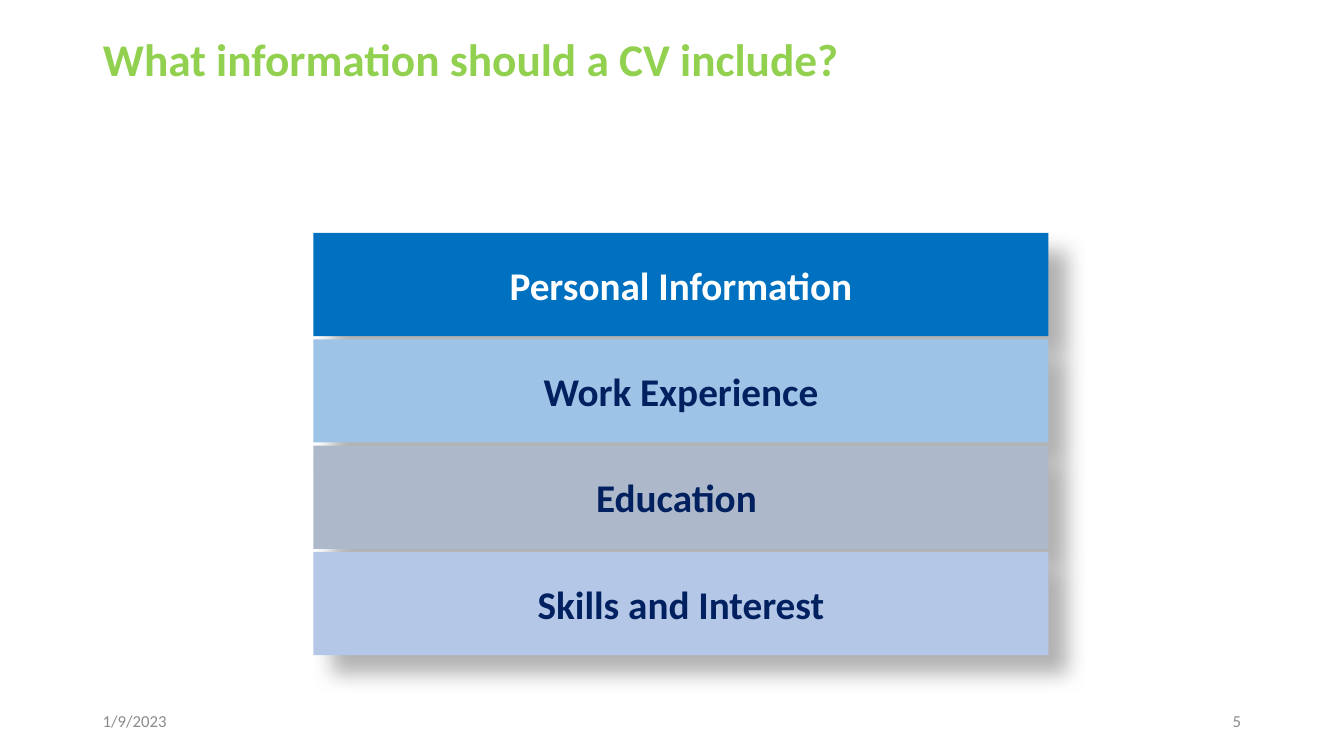
from dataclasses import dataclass

import pptx
import pptx.dml.color
import pptx.enum.shapes
import pptx.enum.text
import pptx.oxml
import pptx.oxml.ns
import pptx.util

Cm = pptx.util.Cm
Align = pptx.enum.text.PP_ALIGN
Anchor = pptx.enum.text.MSO_ANCHOR


@dataclass(frozen=True)
class Theme:
    font: str = "Calibri"
    title_size: float = 32.4
    band_size: float = 28
    footer_size: float = 12
    title: str = "92D050"
    footer: str = "8C8C8C"
    white: str = "FFFFFF"
    navy: str = "002060"
    blue: str = "0070C0"
    sky: str = "9DC3E6"
    slate: str = "ADB9CA"
    lavender: str = "B4C7E7"


THEME = Theme()

# Content
TITLE = "What information should a CV include?"
BANDS = [  # text, fill, text colour
    ("Personal Information", THEME.blue, THEME.white),
    ("Work Experience", THEME.sky, THEME.navy),
    ("Education ", THEME.slate, THEME.navy),
    ("Skills and Interest", THEME.lavender, THEME.navy),
]
DATE = "1/9/2023"
SLIDE_NUMBER = "5"

# Layout, in centimetres
SLIDE_WIDTH, SLIDE_HEIGHT = 33.87, 19.05
MARGIN = 2.34
CONTENT_WIDTH = SLIDE_WIDTH - 2 * MARGIN
TITLE_TOP, TITLE_HEIGHT = 0.94, 3.94
BAND_LEFT, BAND_TOP, BAND_WIDTH, BAND_HEIGHT = 7.9, 5.87, 18.52, 2.6
BAND_PITCH = 2.68
FOOTER_TOP, FOOTER_WIDTH, FOOTER_HEIGHT = 17.65, 7.62, 1.02


def write(shape, text, size, color, align, bold=False, anchor=Anchor.MIDDLE):
    frame = shape.text_frame
    frame.word_wrap = True
    frame.vertical_anchor = anchor
    paragraph = frame.paragraphs[0]
    paragraph.text = text
    paragraph.alignment = align
    paragraph.font.name = THEME.font
    paragraph.font.size = pptx.util.Pt(size)
    paragraph.font.bold = bold
    paragraph.font.color.rgb = pptx.dml.color.RGBColor.from_string(color)
    return paragraph


def add_soft_shadow(shape):
    shape.shadow.inherit = False
    effects = shape.element.spPr.find(pptx.oxml.ns.qn("a:effectLst"))
    effects.append(pptx.oxml.parse_xml(
        f'<a:outerShdw {pptx.oxml.ns.nsdecls("a")} blurRad="{pptx.util.Pt(15)}" '
        f'dist="{pptx.util.Pt(18)}" dir="2700000" algn="tl" rotWithShape="0">'
        '<a:srgbClr val="000000"><a:alpha val="30000"/></a:srgbClr></a:outerShdw>'))


def add_title(slide):
    title = slide.shapes.title
    title.left, title.top = Cm(MARGIN), Cm(TITLE_TOP)
    title.width, title.height = Cm(CONTENT_WIDTH), Cm(TITLE_HEIGHT)
    title.text_frame.margin_top = 0
    paragraph = write(title, TITLE, THEME.title_size, THEME.title,
                      Align.LEFT, bold=True, anchor=Anchor.TOP)
    paragraph.line_spacing = 0.9


def add_band(slide, index, text, fill, color):
    band = slide.shapes.add_shape(
        pptx.enum.shapes.MSO_SHAPE.RECTANGLE, Cm(BAND_LEFT),
        Cm(BAND_TOP + index * BAND_PITCH), Cm(BAND_WIDTH), Cm(BAND_HEIGHT))
    band.fill.solid()
    band.fill.fore_color.rgb = pptx.dml.color.RGBColor.from_string(fill)
    band.line.fill.background()
    add_soft_shadow(band)
    write(band, text, THEME.band_size, color, Align.CENTER, bold=True)


def add_footer(slide, text, left, align):
    box = slide.shapes.add_textbox(
        Cm(left), Cm(FOOTER_TOP), Cm(FOOTER_WIDTH), Cm(FOOTER_HEIGHT))
    write(box, text, THEME.footer_size, THEME.footer, align)


def main():
    presentation = pptx.Presentation()
    presentation.slide_width = Cm(SLIDE_WIDTH)
    presentation.slide_height = Cm(SLIDE_HEIGHT)
    slide = presentation.slides.add_slide(
        presentation.slide_layouts.get_by_name("Title Only"))

    add_title(slide)

    # Date and slide number
    add_footer(slide, SLIDE_NUMBER, SLIDE_WIDTH - MARGIN - FOOTER_WIDTH, Align.RIGHT)
    add_footer(slide, DATE, MARGIN, Align.LEFT)

    # Stacked CV sections
    for index, band in enumerate(BANDS):
        add_band(slide, index, *band)

    presentation.save("out.pptx")


if __name__ == "__main__":
    main()
